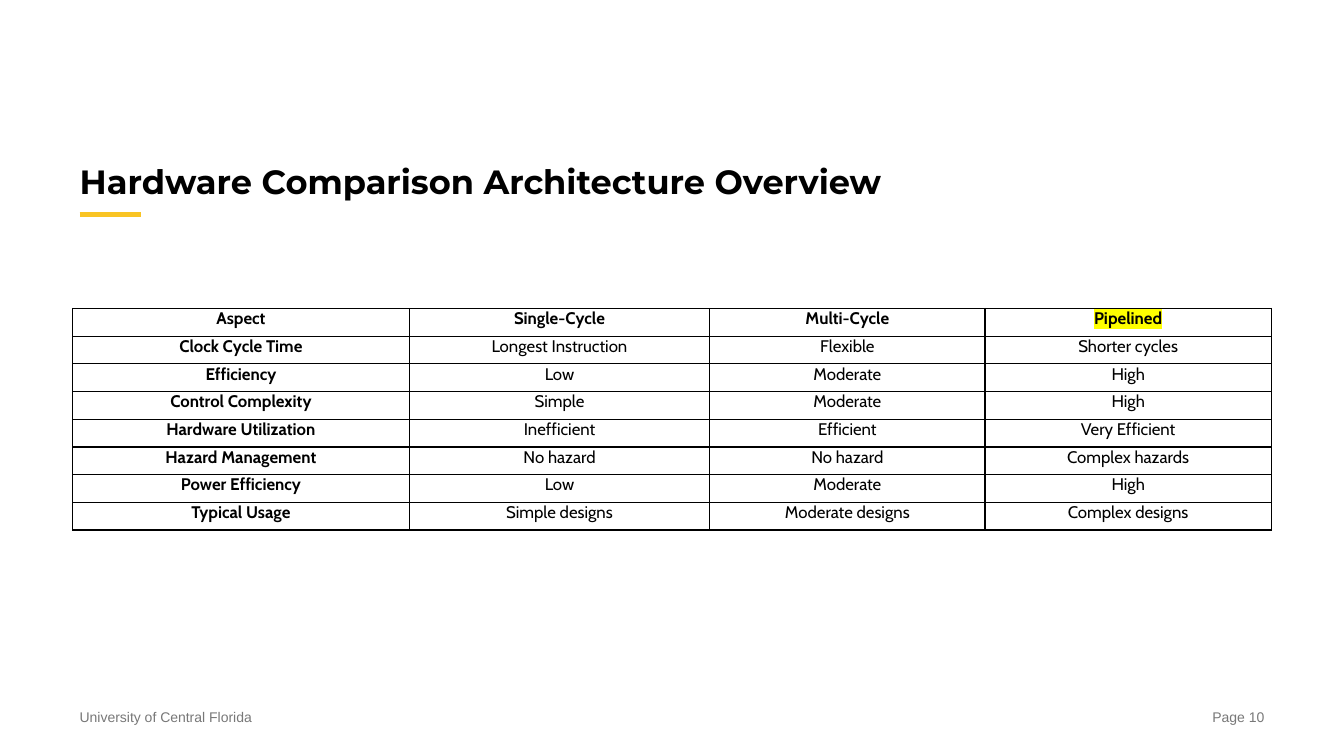
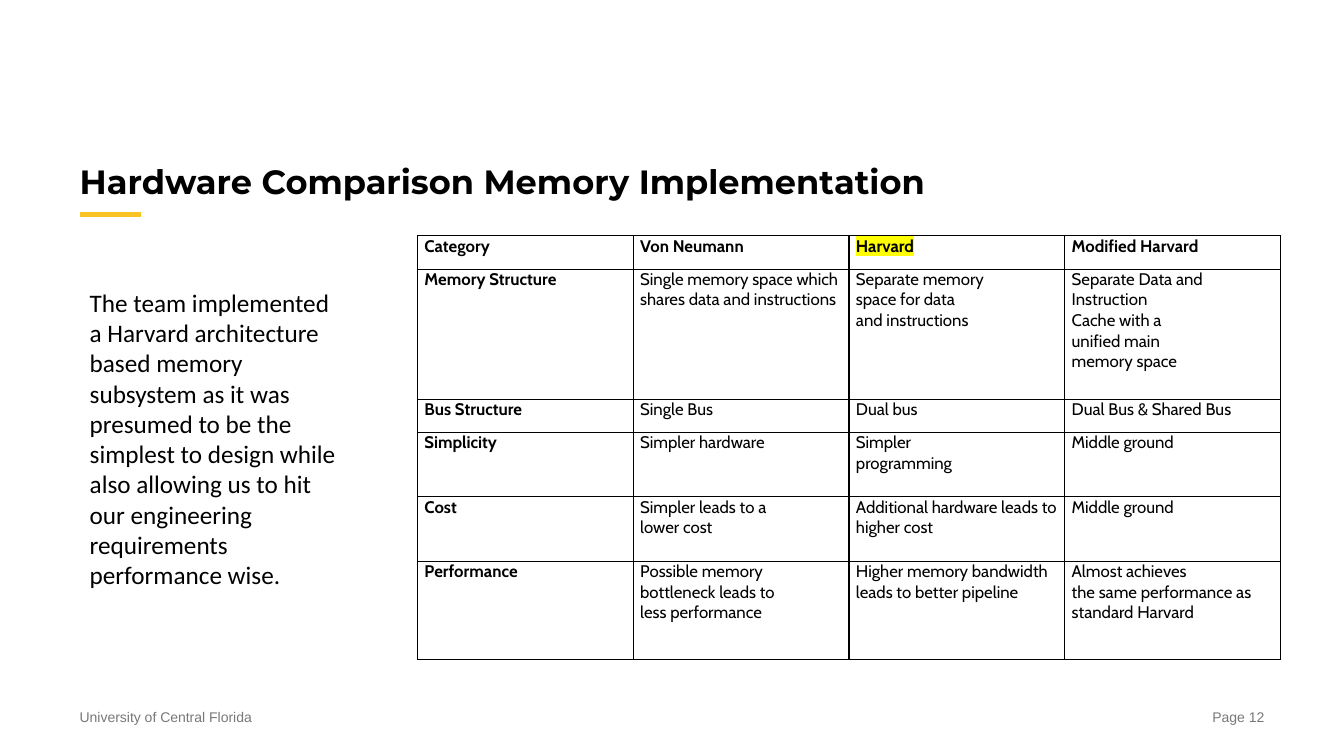
from lxml import etree
from pptx import Presentation
from pptx import util as u
from pptx.dml import color
from pptx.enum import shapes, text
from pptx.oxml import ns

# Shared style
BLACK, GREY, GOLD, YELLOW = "000000", "787878", "F9C423", "FFFF00"
LEFT, CONTENT_WIDTH = 0.79, 11.75
TITLE_FONT, TABLE_FONT, BODY_FONT, FOOTER_FONT = "Montserrat", "Cabin", "Calibri", "Arial"
ALIGN = text.PP_ALIGN

# Slide content
ARCHITECTURE_ROWS = [
    ["Aspect", "Single-Cycle", "Multi-Cycle", "Pipelined"],
    ["Clock Cycle Time", "Longest Instruction", "Flexible", "Shorter cycles"],
    ["Efficiency", "Low", "Moderate", "High"],
    ["Control Complexity", "Simple", "Moderate", "High"],
    ["Hardware Utilization", "Inefficient", "Efficient", "Very Efficient"],
    ["Hazard Management", "No hazard", "No hazard", "Complex hazards"],
    ["Power Efficiency", "Low", "Moderate", "High"],
    ["Typical Usage", "Simple designs", "Moderate designs", "Complex designs"],
]
MEMORY_ROWS = [
    ["Category", "Von Neumann", "Harvard", "Modified Harvard"],
    ["Memory Structure", "Single memory space which shares data and instructions",
     "Separate memory\nspace for data\nand instructions",
     "Separate Data and Instruction\nCache with a\nunified main\nmemory space"],
    ["Bus Structure", "Single Bus", "Dual bus", "Dual Bus & Shared Bus"],
    ["Simplicity", "Simpler hardware", "Simpler\nprogramming", "Middle ground"],
    ["Cost", "Simpler leads to a\nlower cost",
     "Additional hardware leads to higher cost", "Middle ground"],
    ["Performance", "Possible memory\nbottleneck leads to\nless performance",
     "Higher memory bandwidth leads to better pipeline",
     "Almost achieves\nthe same performance as standard Harvard"],
]
MEMORY_CHOICE = (
    "The team implemented a Harvard architecture based memory subsystem as it was "
    "presumed to be the simplest to design while also allowing us to hit our "
    "engineering requirements performance wise."
)


def rgb(hex_value):
    return color.RGBColor.from_string(hex_value)


def add_run(paragraph, words, font_name, size, hex_value=BLACK, bold=False, highlight=None):
    run = paragraph.add_run()
    run.text = words
    run.font.name = font_name
    run.font.size = u.Pt(size)
    run.font.bold = bold
    run.font.color.rgb = rgb(hex_value)
    if highlight:
        mark = etree.Element(ns.qn("a:highlight"))
        etree.SubElement(mark, ns.qn("a:srgbClr"), val=highlight)
        run.font.fill._xPr.find(ns.qn("a:solidFill")).addnext(mark)


def add_text(slide, box, words, font_name, size, hex_value=BLACK, bold=False,
             align=ALIGN.LEFT, anchor=text.MSO_ANCHOR.TOP):
    frame = slide.shapes.add_textbox(*map(u.Inches, box)).text_frame
    frame.margin_left = frame.margin_top = frame.margin_right = frame.margin_bottom = 0
    frame.word_wrap = True
    frame.vertical_anchor = anchor
    paragraph = frame.paragraphs[0]
    paragraph.alignment = align
    add_run(paragraph, words, font_name, size, hex_value, bold)


def add_rule(slide, x1, x2, y, hex_value, width):
    rule = slide.shapes.add_connector(
        shapes.MSO_CONNECTOR.STRAIGHT, *map(u.Inches, (x1, y, x2, y)))
    rule.line.color.rgb = rgb(hex_value)
    rule.line.width = u.Pt(width)
    etree.SubElement(rule._element.spPr, ns.qn("a:effectLst"))


def add_slide(presentation, title, page):
    """Slide with the shared footer, gold rule and title."""
    slide = presentation.slides.add_slide(presentation.slide_layouts[6])
    footer_width, footer_top = 2.24, 7.03
    right = LEFT + CONTENT_WIDTH - footer_width
    add_text(slide, (LEFT, footer_top, footer_width, 0.17),
             "University of Central Florida", FOOTER_FONT, 10, GREY)
    add_text(slide, (right, footer_top, footer_width, 0.17),
             f"Page {page}", FOOTER_FONT, 10, GREY, align=ALIGN.RIGHT)
    add_rule(slide, LEFT, 1.4, 2.13, GOLD, 4)
    add_text(slide, (LEFT, 0.79, CONTENT_WIDTH, 1.21), title, TITLE_FONT, 24,
             bold=True, anchor=text.MSO_ANCHOR.BOTTOM)
    return slide


def set_borders(cell, hex_value=BLACK, width=1):
    properties = cell._tc.get_or_add_tcPr()
    for position, side in enumerate(("lnL", "lnR", "lnT", "lnB")):
        line = etree.Element(ns.qn(f"a:{side}"), w=str(u.Pt(width)))
        fill = etree.SubElement(line, ns.qn("a:solidFill"))
        etree.SubElement(fill, ns.qn("a:srgbClr"), val=hex_value)
        properties.insert(position, line)


def fill_cell(cell, words, align, bold, highlight):
    cell.margin_left = cell.margin_right = u.Inches(0.07)
    cell.margin_top = cell.margin_bottom = 0
    cell.fill.background()
    set_borders(cell)
    for index, line in enumerate(words.split("\n")):
        frame = cell.text_frame
        paragraph = frame.add_paragraph() if index else frame.paragraphs[0]
        paragraph.alignment = align
        add_run(paragraph, line, TABLE_FONT, 12, bold=bold, highlight=highlight)


def add_comparison(slide, left, top, widths, heights, rows, chosen, align):
    """Table with bold first row and column; the chosen heading is highlighted."""
    box = map(u.Inches, (left, top, sum(widths), sum(heights)))
    table = slide.shapes.add_table(len(rows), len(widths), *box).table
    table.first_row = table.horz_banding = False
    for column, width in zip(table.columns, widths):
        column.width = u.Inches(width)
    for row, height in zip(table.rows, heights):
        row.height = u.Inches(height)
    for r, row in enumerate(rows):
        for c, words in enumerate(row):
            fill_cell(table.cell(r, c), words, align, bold=r == 0 or c == 0,
                      highlight=YELLOW if words == chosen else None)


def main():
    presentation = Presentation()
    presentation.slide_width = u.Inches(13.33)
    presentation.slide_height = u.Inches(7.5)

    # Processor architectures
    slide = add_slide(presentation, "Hardware Comparison Architecture Overview", 10)
    add_comparison(slide, 0.72, 3.06, [3.34, 2.98, 2.73, 2.84],
                   [0.275] * len(ARCHITECTURE_ROWS), ARCHITECTURE_ROWS,
                   "Pipelined", ALIGN.CENTER)

    # Memory architectures
    slide = add_slide(presentation, "Hardware Comparison Memory Implementation", 12)
    add_comparison(slide, 4.14, 2.34, [2.14] * 4,
                   [0.33, 1.29, 0.33, 0.64, 0.64, 0.97], MEMORY_ROWS,
                   "Harvard", ALIGN.LEFT)
    add_text(slide, (0.89, 2.85, 2.44, 3.03), MEMORY_CHOICE, BODY_FONT, 18)

    presentation.save("out.pptx")


if __name__ == "__main__":
    main()
